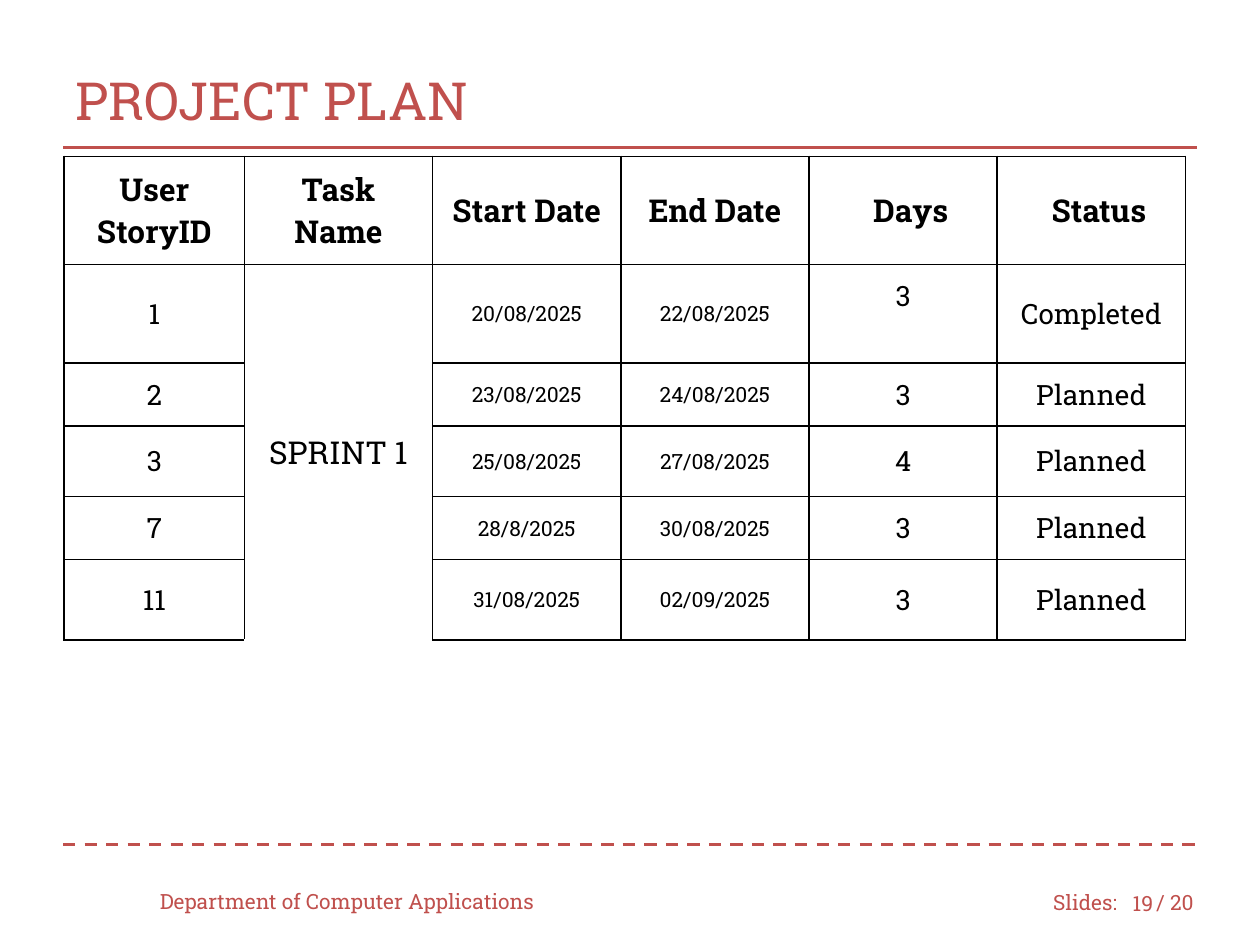
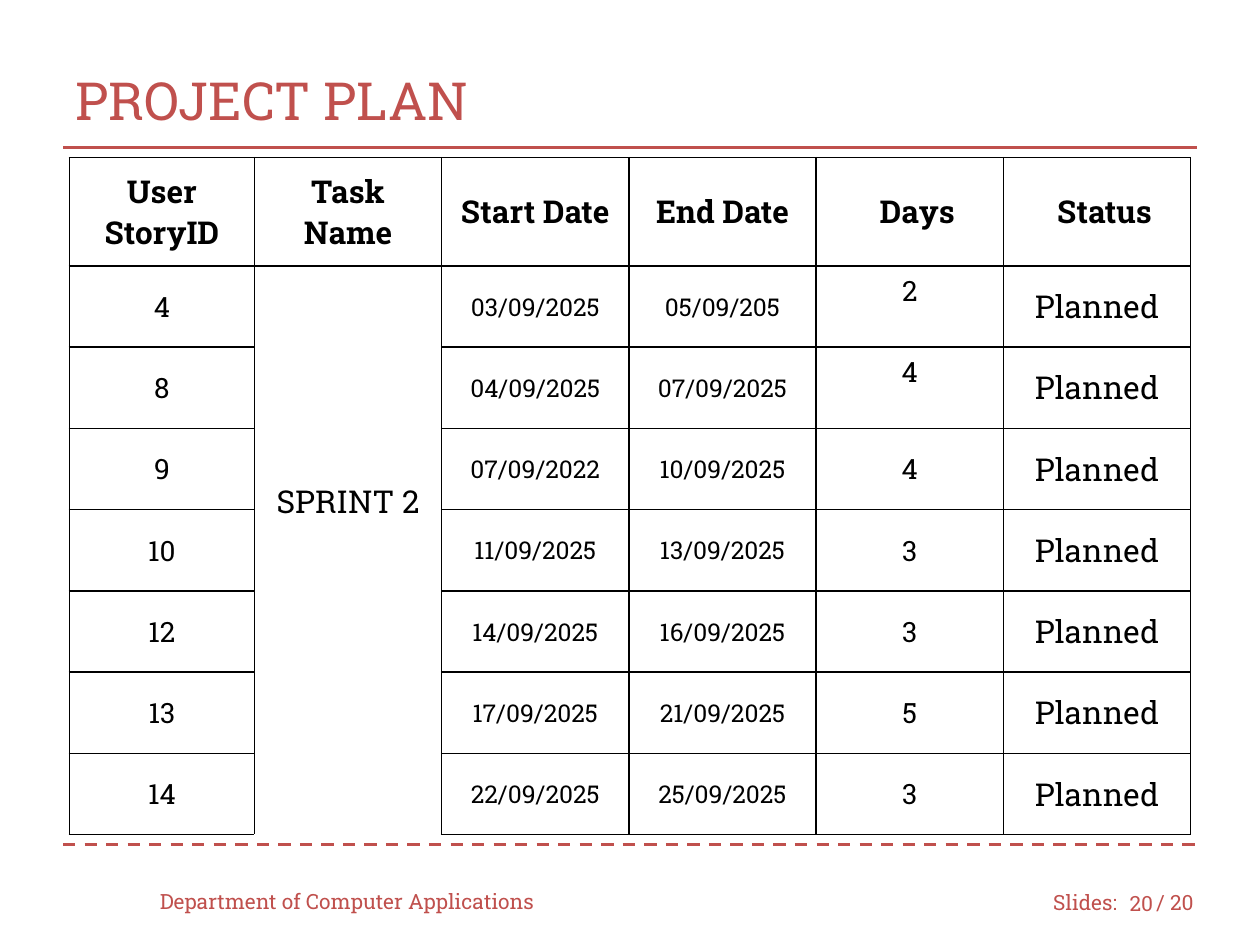
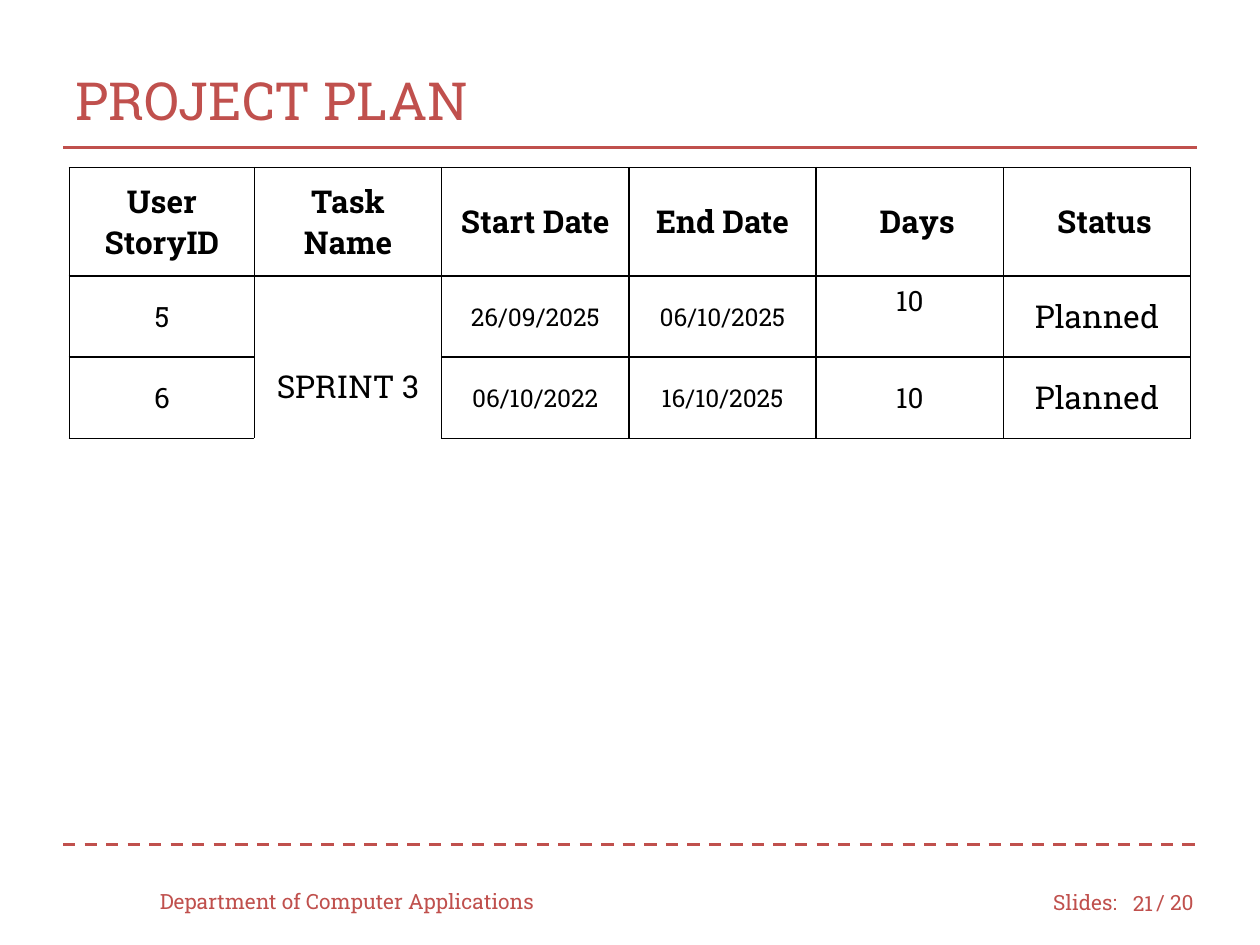
from dataclasses import dataclass

from lxml.etree import SubElement as Sub
from pptx import Presentation
from pptx.dml.color import RGBColor
from pptx.enum.dml import MSO_LINE as Dash
from pptx.enum.shapes import MSO_CONNECTOR as Conn
from pptx.enum.text import MSO_ANCHOR as Anchor, PP_ALIGN as Align
from pptx.oxml.ns import qn
from pptx.util import Inches, Pt

RED = RGBColor(0xC0, 0x50, 0x4D)
BLACK = RGBColor(0, 0, 0)
WHITE = RGBColor(0xFF, 0xFF, 0xFF)
FONT = "Roboto Slab"

# Grid of 20 columns and 15 rows, square cells
COLS, ROWS = 20, 15
CELL = Inches(0.5)
TOTAL = 20

HEADS = ["User\nStoryID", "Task Name", "Start Date", "End Date", "Days", "Status"]
SPRINT, DAYS = 1, 4
PAD, THIN = Inches(0.1), Inches(0.05)
NUDGE = Inches(0.12)
LINE = Inches(0.33)


@dataclass
class Plan:
    page: int
    sprint: str
    box: tuple      # left, top, width in grid cells
    first: float    # width of the first column
    sizes: tuple    # points: story, sprint, start, end, days, status
    heights: list   # body rows in grid cells
    tasks: list     # story, start, end, days, status
    high: int       # rows whose day count sits at the top
    inset: int      # top inset of those day counts
    drop: int = 0   # lines the sprint name is lowered from the top; 0 is centred


def grid(n):
    return int(n * CELL)


def style(frame, size, color, align, bold=False):
    for para in frame.paragraphs:
        para.alignment = align
        for run in para.runs:
            font = run.font
            font.name, font.size, font.bold = FONT, Pt(size), bold
            font.color.rgb = color


def label(slide, text, box, size=12, align=Align.LEFT):
    frame = slide.shapes.add_textbox(*map(grid, box)).text_frame
    frame.word_wrap = True
    frame.vertical_anchor = Anchor.MIDDLE
    frame.text = text
    style(frame, size, RED, align)


def rule(slide, row, dash=None):
    line = slide.shapes.add_connector(
        Conn.STRAIGHT, grid(1), grid(row), grid(COLS - 1), grid(row))
    line.line.color.rgb = RED
    line.line.width = Pt(1.75)
    if dash:
        line.line.dash_style = dash
    Sub(line._element.spPr, qn("a:effectLst"))


def frame_page(slide, page):
    # Title band
    rule(slide, 2.34)
    label(slide, "PROJECT PLAN", (1, 0.66, 18, 1.84), 30)
    # Footer
    rule(slide, 13.4, Dash.DASH)
    label(slide, "Department of Computer Applications", (2.34, 13.9, 6.66, 0.8))
    label(slide, "Slides:", (16.52, 13.92, 1.5, 0.8))
    label(slide, str(page), (17.66, 13.94, 0.84, 0.8), align=Align.RIGHT)
    label(slide, f"/ {TOTAL}", (18.16, 13.92, 1.16, 0.8))


def edge(cell, sides):
    props = cell._tc.get_or_add_tcPr()
    for side in sides:
        line = Sub(props, qn(f"a:ln{side}"), w=str(Pt(1)))
        fill = Sub(line, qn("a:solidFill"))
        Sub(fill, qn("a:srgbClr"), val=str(BLACK))


def fill_cell(cell, text, size, bold=False, sides="LRTB"):
    edge(cell, sides)
    cell.fill.solid()
    cell.fill.fore_color.rgb = WHITE
    cell.margin_left = cell.margin_right = PAD
    cell.margin_top = cell.margin_bottom = PAD
    cell.vertical_anchor = Anchor.MIDDLE
    cell.text = text
    style(cell.text_frame, size, BLACK, Align.CENTER, bold)


def hang(cell, top):
    cell.vertical_anchor = Anchor.TOP
    cell.margin_top = top


def plan_table(slide, plan):
    left, top, width = plan.box
    heights = [1.72] + plan.heights
    last = len(plan.tasks)
    table = slide.shapes.add_table(
        last + 1, len(HEADS), grid(left), grid(top), grid(width),
        grid(sum(heights))).table
    table.first_row = table.horz_banding = False

    # Columns and rows
    rest = (width - plan.first) / (len(HEADS) - 1)
    for i, col in enumerate(table.columns):
        col.width = grid(rest if i else plan.first)
    for row, height in zip(table.rows, heights):
        row.height = grid(height)

    # Header row
    for i, head in enumerate(HEADS):
        cell = table.cell(0, i)
        fill_cell(cell, head, 18, bold=True)
        if i >= DAYS:
            cell.margin_left = PAD + NUDGE

    # Task rows, with one sprint cell over all of them
    table.cell(1, SPRINT).merge(table.cell(last, SPRINT))
    for r, (story, *others) in enumerate(plan.tasks, 1):
        name = plan.sprint if r == 1 else ""
        for c, text in enumerate([story, name, *others]):
            sides = "LRTB"
            if c == SPRINT:
                sides = "LR" + "T" * (r == 1) + "B" * (r == last)
            fill_cell(table.cell(r, c), text, plan.sizes[c], sides=sides)
        if r <= plan.high:
            hang(table.cell(r, DAYS), plan.inset)
    if plan.drop:
        hang(table.cell(1, SPRINT), THIN + plan.drop * LINE)


SMALL = (16, 18, 12, 12, 16, 16)
LARGE = (16, 18, 14, 14, 16, 18)
EVEN = 1.29

PLANS = [
    Plan(19, "SPRINT 1", (1.02, 2.48, 17.8), 2.86, SMALL,
         [1.56, 1, 1.12, 1, 1.28], [
             ("1", "20/08/2025", "22/08/2025", "3", "Completed"),
             ("2", "23/08/2025", "24/08/2025", "3", "Planned"),
             ("3", "25/08/2025", "27/08/2025", "4", "Planned"),
             ("7", "28/8/2025", "30/08/2025", "3", "Planned"),
             ("11", "31/08/2025", "02/09/2025", "3", "Planned"),
         ], high=1, inset=PAD),
    Plan(20, "SPRINT 2", (1.1, 2.5, 17.8), 2.94, LARGE, [EVEN] * 7, [
        ("4", "03/09/2025", "05/09/205", "2", "Planned"),
        ("8", "04/09/2025", "07/09/2025", "4", "Planned"),
        ("9", "07/09/2022", "10/09/2025", "4", "Planned"),
        ("10", "11/09/2025", "13/09/2025", "3", "Planned"),
        ("12", "14/09/2025", "16/09/2025", "3", "Planned"),
        ("13", "17/09/2025", "21/09/2025", "5", "Planned"),
        ("14", "22/09/2025", "25/09/2025", "3", "Planned"),
    ], high=2, inset=THIN, drop=5),
    Plan(21, "SPRINT 3", (1.1, 2.66, 17.8), 2.94, LARGE, [EVEN] * 2, [
        ("5", "26/09/2025", "06/10/2025", "10", "Planned"),
        ("6", "06/10/2022", "16/10/2025", "10", "Planned"),
    ], high=1, inset=THIN, drop=2),
]


def main():
    deck = Presentation()
    deck.slide_width, deck.slide_height = grid(COLS), grid(ROWS)
    for plan in PLANS:
        slide = deck.slides.add_slide(deck.slide_layouts[6])
        frame_page(slide, plan.page)
        plan_table(slide, plan)
    deck.save("out.pptx")


if __name__ == "__main__":
    main()
